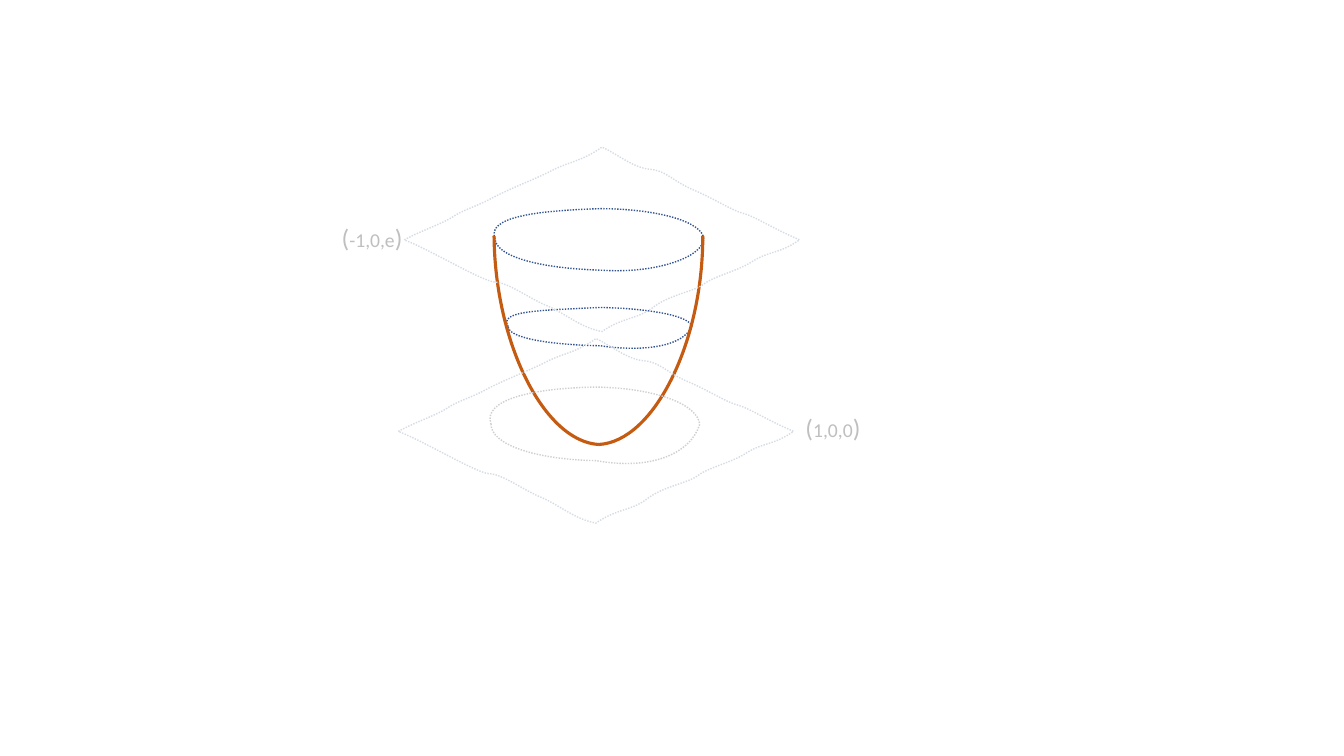
"""Draw a paraboloid bowl between two dotted planes with labelled corners."""
import math

import lxml.etree
import pptx
import pptx.dml.color
import pptx.enum.dml
import pptx.enum.text
import pptx.oxml.ns
import pptx.util

COLORS = {"ring": "325491", "bowl": "C55A11", "plane": "D6DCE5", "disc": "D0CECE", "label": "BFBFBF"}
FONT = "Calibri"
COLUMNS, ROWS = 1333, 750

MIDDLE_RING = [(504, 324), (494, 308), (536, 308), (595, 305), (647, 306), (685, 314), (686, 324),
               (678, 342), (644, 350), (595, 343), (543, 342), (504, 335), (504, 324)]
TOP_RING = [(491, 237), (482, 215), (533, 209), (595, 207), (652, 207), (697, 220), (698, 237),
            (697, 255), (651, 272), (595, 268), (533, 266), (492, 254), (491, 237)]
DISC = [(487, 421), (478, 396), (530, 385), (591, 384), (650, 385), (692, 401), (694, 421),
        (685, 450), (646, 467), (591, 457), (531, 456), (487, 441), (487, 421)]
PLANE = [(0, 92), (19, 82), (35, 77), (47, 70), (58, 62), (70, 60), (90, 49), (110, 39), (122, 35),
         (143, 25), (163, 14), (175, 15), (196, 0), (210, 6), (226, 20), (243, 22), (260, 23),
         (266, 34), (288, 43), (309, 52), (325, 63), (337, 66), (348, 69), (364, 80), (392, 92),
         (372, 106), (362, 103), (346, 113), (331, 123), (307, 128), (297, 136), (288, 143),
         (265, 146), (248, 158), (232, 171), (218, 168), (196, 183), (175, 179), (161, 166),
         (143, 158), (125, 151), (103, 134), (90, 134), (77, 133), (28, 103), (0, 92)]
RIGHT_BODY = [(697, 234), (696, 343), (647, 433), (594, 441), (608, 373), (583, 315), (591, 217),
              (616, 223), (681, 223), (697, 234)]
RIGHT_EDGE = [(697, 234), (697, 341), (648, 438), (594, 441)]
LEFT_BODY = [(490, 234), (492, 343), (540, 433), (594, 441), (580, 373), (605, 314), (597, 217),
             (572, 224), (506, 223), (490, 234)]
LEFT_EDGE = [(490, 234), (491, 341), (540, 438), (594, 441)]

RINGS = [(MIDDLE_RING, (504, 305, 182, 38)), (TOP_RING, (491, 207, 208, 61))]
BOWL_HALVES = [
    ([RIGHT_BODY, RIGHT_EDGE], (367, 110, 447, 214), 90),
    ([LEFT_BODY, LEFT_EDGE], (374, 110, 447, 214), 270),
]
DISC_FRAME = (487, 384, 208, 73)
LOWER_PLANE, UPPER_PLANE = (395, 336, 392, 183), (401, 146, 392, 183)
LEFT_LABEL = ("-1,0,e", (329, 216, 81, 40))
RIGHT_LABEL = ("1,0,0", (789, 404, 75, 40))


def add_element(parent, tag, **attributes):
    """Append a drawing element to its parent."""
    values = {name: str(value) for name, value in attributes.items()}
    return lxml.etree.SubElement(parent, pptx.oxml.ns.qn("a:" + tag), values)


def local_point(point, frame, turn):
    """Turn a slide point back into the unrotated frame."""
    left, top, width, height = frame
    across, down = point[0] - left - width / 2, point[1] - top - height / 2
    cosine, sine = math.cos(math.radians(turn)), math.sin(math.radians(turn))
    return width / 2 + across * cosine + down * sine, height / 2 - across * sine + down * cosine


def draw_curves(shapes, cell, curves, frame, role, turn=0):
    """Draw cubic curves in a frame; only the last one is stroked."""
    left, top, width, height = (round(value * cell) for value in frame)
    builder = shapes.build_freeform(left, top)
    builder.add_line_segments([(left + width, top), (left + width, top + height), (left, top + height)])
    shape = builder.convert_to_shape()
    shape.rotation = turn
    outline = shape._element.find(".//" + pptx.oxml.ns.qn("a:pathLst"))
    outline.clear()
    for curve in curves:
        route = add_element(outline, "path", w=width, h=height)
        if curve is not curves[-1]:
            route.set("stroke", "0")
        elif len(curves) > 1:
            route.set("fill", "none")
        points = [[round(value * cell) for value in local_point(point, frame, turn)] for point in curve]
        add_element(add_element(route, "moveTo"), "pt", x=points[0][0], y=points[0][1])
        for first in range(1, len(points), 3):
            bend = add_element(route, "cubicBezTo")
            for x, y in points[first:first + 3]:
                add_element(bend, "pt", x=x, y=y)
        if curve[0] == curve[-1]:
            add_element(route, "close")
    shape.shadow.inherit = False
    shape.fill.background()
    shape.line.color.rgb = pptx.dml.color.RGBColor.from_string(COLORS[role])
    shape.line.width = pptx.util.Pt(2.25 if role == "bowl" else 1)
    if role != "bowl":
        shape.line.dash_style = pptx.enum.dml.MSO_LINE.ROUND_DOT


def draw_plane(page, cell, frame):
    """Draw the plane outline at the corner of its frame."""
    curve = [(x + frame[0], y + frame[1]) for x, y in PLANE]
    draw_curves(page.shapes, cell, [curve], frame, "plane")


def draw_label(page, cell, text, place):
    """Write a coordinate between larger brackets."""
    box = page.shapes.add_textbox(*(round(value * cell) for value in place))
    box.text_frame.word_wrap = False
    box.text_frame.auto_size = pptx.enum.text.MSO_AUTO_SIZE.SHAPE_TO_FIT_TEXT
    para = box.text_frame.paragraphs[0]
    for part, size in (("(", 18), (text, 14), (")", 18)):
        span = para.add_run()
        span.text = part
        span.font.name = FONT
        span.font.size = pptx.util.Pt(size)
        span.font.color.rgb = pptx.dml.color.RGBColor.from_string(COLORS["label"])


def main():
    """Build and save the slide."""
    deck = pptx.Presentation()
    deck.slide_height = pptx.util.Inches(7.5)
    cell = deck.slide_height / ROWS
    deck.slide_width = round(COLUMNS * cell)
    page = deck.slides.add_slide(deck.slide_layouts[6])
    for curve, frame in RINGS:
        draw_curves(page.shapes, cell, [curve], frame, "ring")
    bowl = page.shapes.add_group_shape()
    for curves, frame, turn in BOWL_HALVES:
        draw_curves(bowl.shapes, cell, curves, frame, "bowl", turn)
    draw_plane(page, cell, LOWER_PLANE)
    draw_curves(page.shapes, cell, [DISC], DISC_FRAME, "disc")
    draw_label(page, cell, *LEFT_LABEL)
    draw_plane(page, cell, UPPER_PLANE)
    draw_label(page, cell, *RIGHT_LABEL)
    deck.save("out.pptx")


if __name__ == "__main__":
    main()
